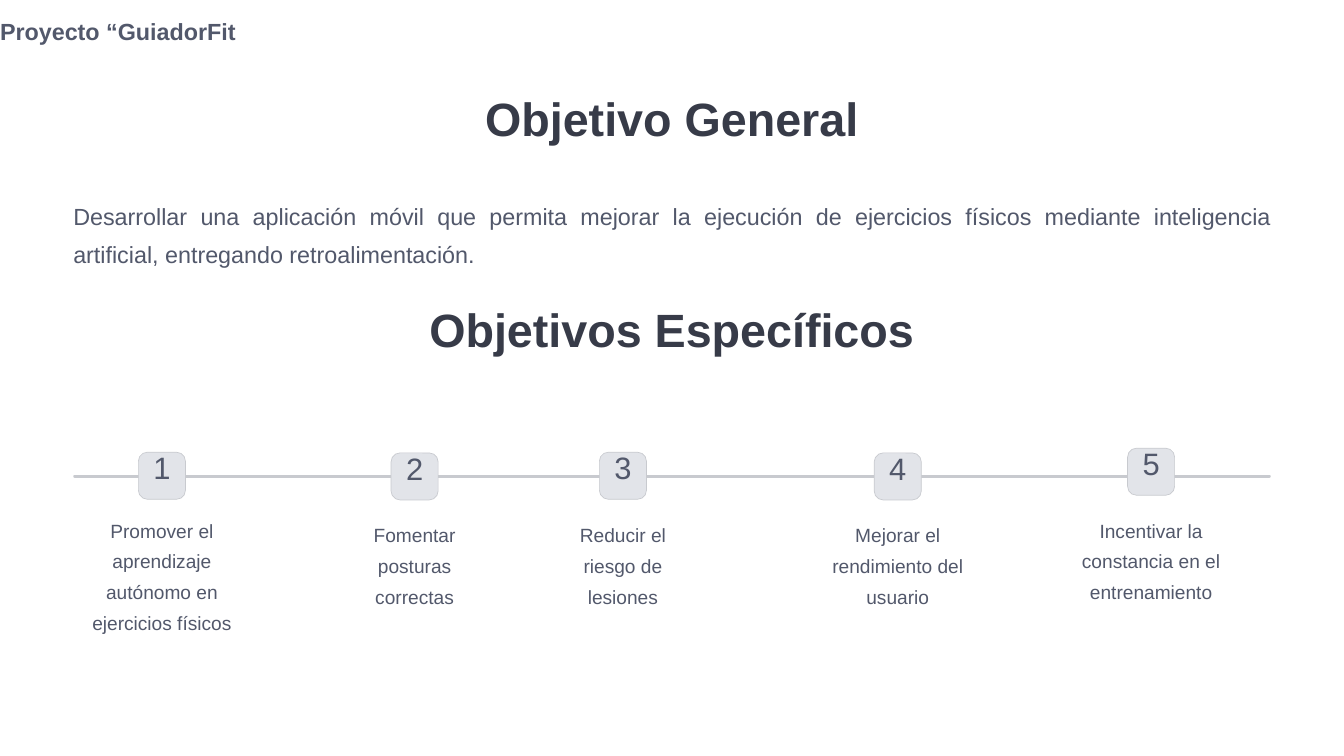
from dataclasses import dataclass

from pptx import Presentation
from pptx.dml.color import RGBColor
from pptx.enum.shapes import MSO_SHAPE
from pptx.enum.text import MSO_ANCHOR, PP_ALIGN
from pptx.util import Inches, Pt

ROUNDED = MSO_SHAPE.ROUNDED_RECTANGLE
TOP = MSO_ANCHOR.TOP
LEFT, CENTER, JUSTIFY = PP_ALIGN.LEFT, PP_ALIGN.CENTER, PP_ALIGN.JUSTIFY


@dataclass(frozen=True)
class TextStyle:
    size: float
    spacing: float
    color: RGBColor
    bold: bool = False


class Theme:
    font = "Arial"
    ink = RGBColor.from_string("373B48")
    body_color = RGBColor.from_string("52586B")
    border = RGBColor.from_string("C8CACF")
    badge = RGBColor.from_string("E2E4E9")
    heading = TextStyle(50, 62.4, ink, True)
    header = TextStyle(25, 40.8, body_color, True)
    body = TextStyle(25, 40.7, body_color)
    number = TextStyle(33.1, 33.1, body_color)
    caption = TextStyle(20.5, 32.9, body_color)


PAGE_WIDTH, PAGE_HEIGHT = 20, 11.25
MARGIN = 1.09
CONTENT_WIDTH = PAGE_WIDTH - 2 * MARGIN
BADGE_SIZE = 0.7

# Centre, badge top, caption top, caption width, caption
GOALS = [
    (2.41, 6.73, 7.61, 2.42, "Promover el aprendizaje autónomo en ejercicios físicos"),
    (6.17, 6.74, 7.68, 2.03, "Fomentar posturas correctas"),
    (9.27, 6.73, 7.68, 2.03, "Reducir el riesgo de lesiones"),
    (13.36, 6.74, 7.68, 2.03, "Mejorar el rendimiento del usuario"),
    (17.13, 6.67, 7.61, 2.32, "Incentivar la constancia en el entrenamiento"),
]


def write(shape, text, style, align):
    frame = shape.text_frame
    frame.word_wrap = True
    frame.vertical_anchor = TOP
    frame.margin_left = frame.margin_right = 0
    frame.margin_top = frame.margin_bottom = 0
    frame.text = text
    para = frame.paragraphs[0]
    para.alignment = align
    para.line_spacing = Pt(style.spacing)
    font = para.runs[0].font
    font.name = Theme.font
    font.size = Pt(style.size)
    font.bold = style.bold
    font.color.rgb = style.color


def add_text(page, box, text, style, align=CENTER):
    write(page.shapes.add_textbox(*map(Inches, box)), text, style, align)


def add_rounded(page, box, fill, radius):
    shape = page.shapes.add_shape(ROUNDED, *map(Inches, box))
    shape.adjustments[0] = radius
    shape.shadow.inherit = False
    shape.fill.solid()
    shape.fill.fore_color.rgb = fill
    shape.line.fill.background()
    return shape


def add_goal(page, number, center, badge_top, caption_top, caption_width, caption):
    badge_box = (center - BADGE_SIZE / 2, badge_top, BADGE_SIZE, BADGE_SIZE)
    badge = add_rounded(page, badge_box, Theme.badge, 0.19)
    badge.line.color.rgb = Theme.border
    badge.line.width = Pt(0.75)
    write(badge, str(number), Theme.number, CENTER)
    caption_box = (center - caption_width / 2, caption_top, caption_width, 1.36)
    add_text(page, caption_box, caption, Theme.caption)


def add_timeline(page, box):
    add_rounded(page, box, Theme.border, 0.5)
    for number, goal in enumerate(GOALS, start=1):
        add_goal(page, number, *goal)


def main():
    deck = Presentation()
    deck.slide_width, deck.slide_height = Inches(PAGE_WIDTH), Inches(PAGE_HEIGHT)
    page = deck.slides.add_slide(deck.slide_layouts[6])

    # Project name
    add_text(page, (0, 0.11, 6.65, 0.58), "Proyecto “GuiadorFit", Theme.header, LEFT)

    # General objective
    add_text(page, (0, 1.3, PAGE_WIDTH, 0.97), "Objetivo General", Theme.heading)
    add_text(
        page,
        (MARGIN, 2.86, CONTENT_WIDTH, 1.14),
        "Desarrollar una aplicación móvil que permita mejorar la ejecución de "
        "ejercicios físicos mediante inteligencia artificial, entregando "
        "retroalimentación.",
        Theme.body,
        JUSTIFY,
    )

    # Specific objectives
    add_text(page, (0, 4.44, PAGE_WIDTH, 0.97), "Objetivos Específicos", Theme.heading)
    add_timeline(page, (MARGIN, 7.07, CONTENT_WIDTH, 0.04))

    deck.save("out.pptx")


if __name__ == "__main__":
    main()
